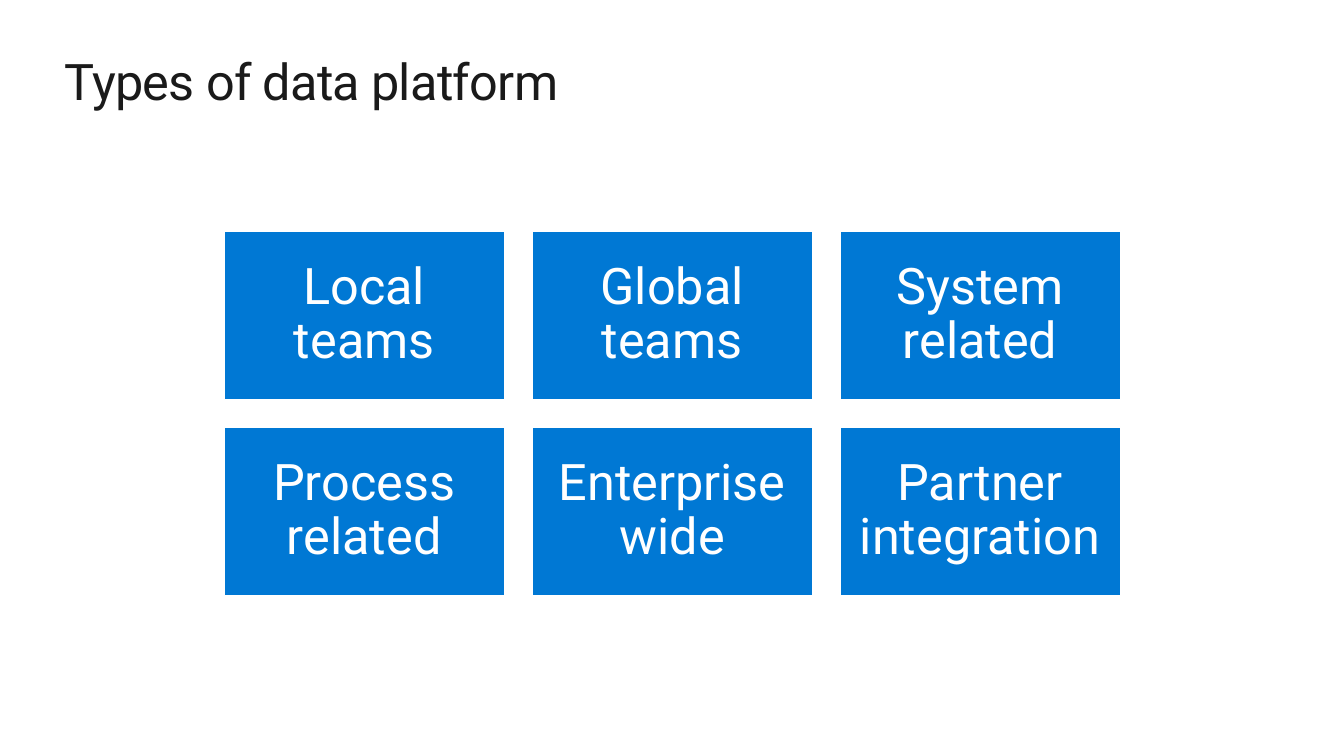
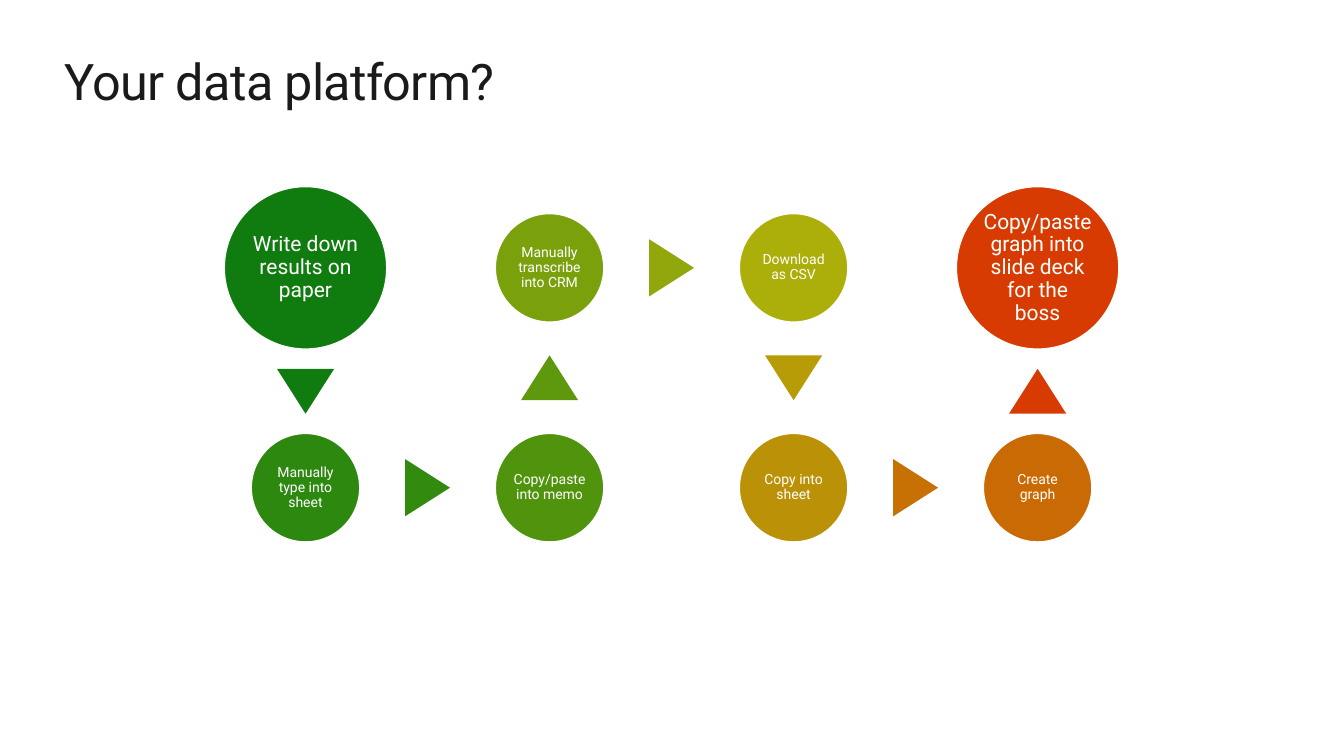
import dataclasses

import pptx
import pptx.dml.color
import pptx.enum.shapes
import pptx.enum.text
import pptx.util

Cm = pptx.util.Cm
Pt = pptx.util.Pt
SHAPE = pptx.enum.shapes.MSO_SHAPE
ALIGN = pptx.enum.text.PP_ALIGN
ANCHOR = pptx.enum.text.MSO_ANCHOR
FIT = pptx.enum.text.MSO_AUTO_SIZE

PLATFORM_TITLE = "Types of data platform"
PLATFORM_TYPES = [
    "Local teams", "Global teams", "System related",
    "Process related", "Enterprise wide", "Partner integration",
]

JOURNEY_TITLE = "Your data platform?"
JOURNEY_STEPS = [
    ("Write down results on paper", 0, 0, "107C10"),
    ("Manually type into sheet", 0, 1, "2D880F"),
    ("Copy/paste into memo", 1, 1, "50940D"),
    ("Manually transcribe into CRM", 1, 0, "7AA10C"),
    ("Download as CSV", 2, 0, "ACAE09"),
    ("Copy into sheet", 2, 1, "BB9107"),
    ("Create graph", 3, 1, "C96A04"),
    ("Copy/paste graph into slide deck for the boss", 3, 0, "D73B01"),
]
ARROW_COLOURS = ["107C10", "328A0F", "5D980D", "92A70B", "B79C08", "C77105", "D73B01"]


@dataclasses.dataclass(frozen=True)
class Theme:
    font: str = "Roboto"
    ink: str = "1A1A1A"
    paper: str = "FFFFFF"
    tile: str = "0078D4"
    title_size: float = 36
    tile_size: float = 36
    end_size: float = 15
    step_size: float = 10
    outline: float = 0.85
    title_tracking: int = -50


THEME = Theme()


def rgb(code):
    return pptx.dml.color.RGBColor.from_string(code)


def apply(target, values):
    for name, value in values.items():
        setattr(target, name, value)


def style_text(frame, text, size, colour, inset, frame_format, paragraph_format):
    margins = {f"margin_{side}": Cm(inset) for side in ("left", "right", "top", "bottom")}
    apply(frame, {"text": text, "word_wrap": True, **margins, **frame_format})
    paragraph = frame.paragraphs[0]
    apply(paragraph, paragraph_format)
    run = paragraph.runs[0]
    apply(run.font, {"name": THEME.font, "size": Pt(size)})
    run.font.color.rgb = rgb(colour)
    return run


def titled_slide(deck, text):
    slide = deck.slides.add_slide(deck.slide_layouts[5])
    title = slide.shapes.title
    apply(title, {"left": Cm(1.63), "top": Cm(1.27), "width": Cm(30.6), "height": Cm(1.55)})
    run = style_text(
        title.text_frame, text, THEME.title_size, THEME.ink, 0,
        {"vertical_anchor": ANCHOR.TOP, "auto_size": FIT.SHAPE_TO_FIT_TEXT},
        {"alignment": ALIGN.LEFT},
    )
    run._r.get_or_add_rPr().set("spc", str(THEME.title_tracking))
    return slide


def centred_shape(slide, kind, x, y, width, height, colour):
    shape = slide.shapes.add_shape(
        kind, Cm(x - width / 2), Cm(y - height / 2), Cm(width), Cm(height)
    )
    shape.shadow.inherit = False
    shape.fill.solid()
    shape.fill.fore_color.rgb = rgb(colour)
    shape.line.fill.background()
    return shape


def labelled_shape(slide, kind, x, y, width, height, colour, text, size, inset):
    shape = centred_shape(slide, kind, x, y, width, height, colour)
    shape.line.color.rgb = rgb(THEME.paper)
    shape.line.width = Pt(THEME.outline)
    style_text(
        shape.text_frame, text, size, THEME.paper, inset,
        {"vertical_anchor": ANCHOR.MIDDLE},
        {"alignment": ALIGN.CENTER, "line_spacing": 0.9},
    )


def build_platform_types(deck):
    slide = titled_slide(deck, PLATFORM_TITLE)
    columns, width, height, gap = 3, 7.06, 4.24, 0.7
    left, top = 5.65, 5.82
    for index, platform in enumerate(PLATFORM_TYPES):
        row, column = divmod(index, columns)
        x = left + width / 2 + column * (width + gap)
        y = top + height / 2 + row * (height + gap)
        labelled_shape(
            slide, SHAPE.RECTANGLE, x, y, width, height,
            THEME.tile, platform, THEME.tile_size, 0.38,
        )


def build_journey(deck):
    slide = titled_slide(deck, JOURNEY_TITLE)
    first_x, column_pitch = 7.7, 6.15
    first_y, row_pitch = 6.75, 5.54
    end_diameter, step_diameter = 4.09, 2.73
    arrow_width, arrow_height = 1.44, 1.13
    last = len(JOURNEY_STEPS) - 1
    placed = []
    for index, (text, column, row, colour) in enumerate(JOURNEY_STEPS):
        is_end = index in (0, last)
        diameter = end_diameter if is_end else step_diameter
        size = THEME.end_size if is_end else THEME.step_size
        x, y = first_x + column * column_pitch, first_y + row * row_pitch
        labelled_shape(
            slide, SHAPE.OVAL, x, y, diameter, diameter,
            colour, text, size, 0.05 if is_end else 0.03,
        )
        placed.append((x, y, diameter / 2))

    for start, end, colour in zip(placed, placed[1:], ARROW_COLOURS):
        (x1, y1, r1), (x2, y2, r2) = start, end
        across = (x2 > x1) - (x2 < x1)
        down = (y2 > y1) - (y2 < y1)
        x = (x1 + x2 + across * (r1 - r2)) / 2
        y = (y1 + y2 + down * (r1 - r2)) / 2
        arrow = centred_shape(
            slide, SHAPE.ISOSCELES_TRIANGLE, x, y, arrow_width, arrow_height, colour
        )
        arrow.rotation = {(1, 0): 90, (0, 1): 180, (0, -1): 0}[across, down]


def main():
    deck = pptx.Presentation()
    apply(deck, {"slide_width": Cm(33.87), "slide_height": Cm(19.05)})
    build_platform_types(deck)
    build_journey(deck)
    deck.save("out.pptx")


if __name__ == "__main__":
    main()
